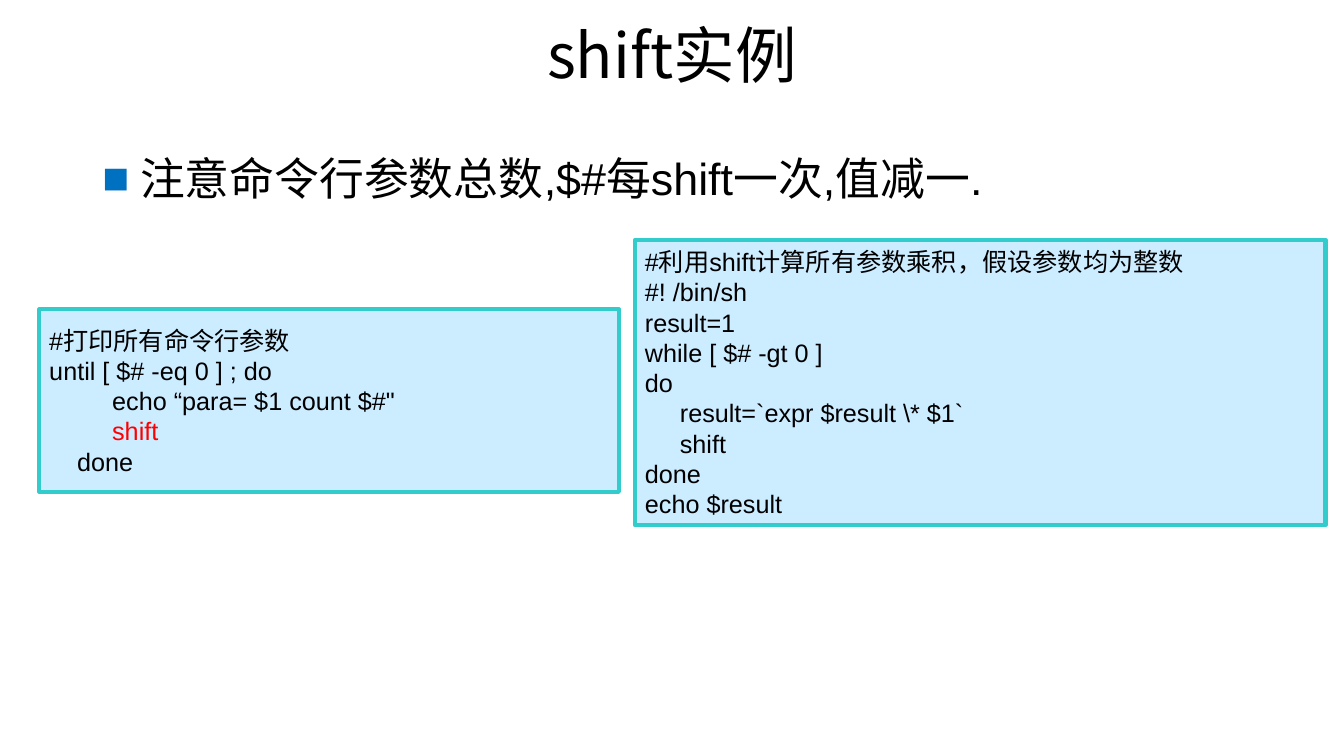
from lxml.etree import SubElement as Sub
from pptx import Presentation as Deck
from pptx.dml.color import RGBColor as RGB
from pptx.enum.shapes import MSO_SHAPE as Shape
from pptx.enum.text import MSO_ANCHOR as Anchor, PP_ALIGN as Align
from pptx.oxml.ns import qn
from pptx.util import Pt

HUES = {"ink": "000000", "mark": "0070C0", "fill": "CCECFF", "edge": "33CCCC", "warn": "FF0000"}
HAN = "Noto Sans CJK SC"
HEAD = {"name": HAN, "size": Pt(44)}
BODY = {"name": "Arial", "size": Pt(32)}
CODE = {"name": "Arial", "size": Pt(18)}

PRINT = [
    "#打印所有命令行参数",
    "until [ $# -eq 0 ] ; do",
    "         echo “para= $1 count $#\"",
    "         shift",
    "    done",
]
TIMES = [
    "#利用shift计算所有参数乘积，假设参数均为整数",
    "#! /bin/sh",
    "result=1",
    "while [ $# -gt 0 ]",
    "do",
    r"     result=`expr $result \* $1`",
    "     shift",
    "done",
    "echo $result",
]


def hue(key):
    """Return the named colour."""
    return RGB.from_string(HUES[key])


def write(par, text, form, key="ink"):
    """Add a run of text with the given format and colour."""
    run = par.add_run()
    run.text = text
    for name, value in form.items():
        setattr(run.font, name, value)
    run.font.color.rgb = hue(key)
    Sub(run.font._element, qn("a:ea"), typeface=HAN)


def setup(frame, anchor):
    """Set wrapping, anchor and margins of a text frame."""
    form = {"word_wrap": True, "vertical_anchor": anchor,
            "margin_left": Pt(7.2), "margin_right": Pt(7.2),
            "margin_top": Pt(3.6), "margin_bottom": Pt(3.6)}
    for name, value in form.items():
        setattr(frame, name, value)


def title(slide, box, text):
    """Place the centred title."""
    frame = slide.shapes.add_textbox(*map(Pt, box)).text_frame
    setup(frame, Anchor.MIDDLE)
    par = frame.paragraphs[0]
    par.alignment = Align.CENTER
    write(par, text, HEAD)


def point(slide, box, text):
    """Place a paragraph with a square bullet."""
    frame = slide.shapes.add_textbox(*map(Pt, box)).text_frame
    setup(frame, Anchor.TOP)
    par = frame.paragraphs[0]
    props = par._p.get_or_add_pPr()
    props.set("marL", str(Pt(27)))
    props.set("indent", str(-Pt(27)))
    Sub(Sub(props, qn("a:buClr")), qn("a:srgbClr"), val=HUES["mark"])
    Sub(props, qn("a:buFont"), typeface="Arial")
    Sub(props, qn("a:buChar"), char="■")
    write(par, text, BODY)


def panel(slide, box, lines, warn=None):
    """Place a framed code listing, with one line in the warning colour."""
    rect = slide.shapes.add_shape(Shape.RECTANGLE, *map(Pt, box))
    rect.shadow.inherit = False
    rect.fill.solid()
    rect.fill.fore_color.rgb = hue("fill")
    rect.line.color.rgb = hue("edge")
    rect.line.width = Pt(3)
    frame = rect.text_frame
    setup(frame, Anchor.MIDDLE)
    for row, text in enumerate(lines):
        par = frame.add_paragraph() if row else frame.paragraphs[0]
        par.alignment = Align.LEFT
        write(par, text, CODE, "warn" if row == warn else "ink")


def main():
    """Build the slide and save it."""
    deck = Deck()
    deck.slide_width, deck.slide_height = Pt(960), Pt(540)
    slide = deck.slides.add_slide(deck.slide_layouts[6])
    title(slide, (48, 0, 864, 77), "shift实例")
    point(slide, (66, 104.4, 745, 57), "注意命令行参数总数,$#每shift一次,值减一.")
    panel(slide, (453.6, 171.4, 493.2, 203.8), TIMES)
    panel(slide, (28.1, 221, 414, 130.3), PRINT, warn=3)
    deck.save("out.pptx")


if __name__ == "__main__":
    main()
